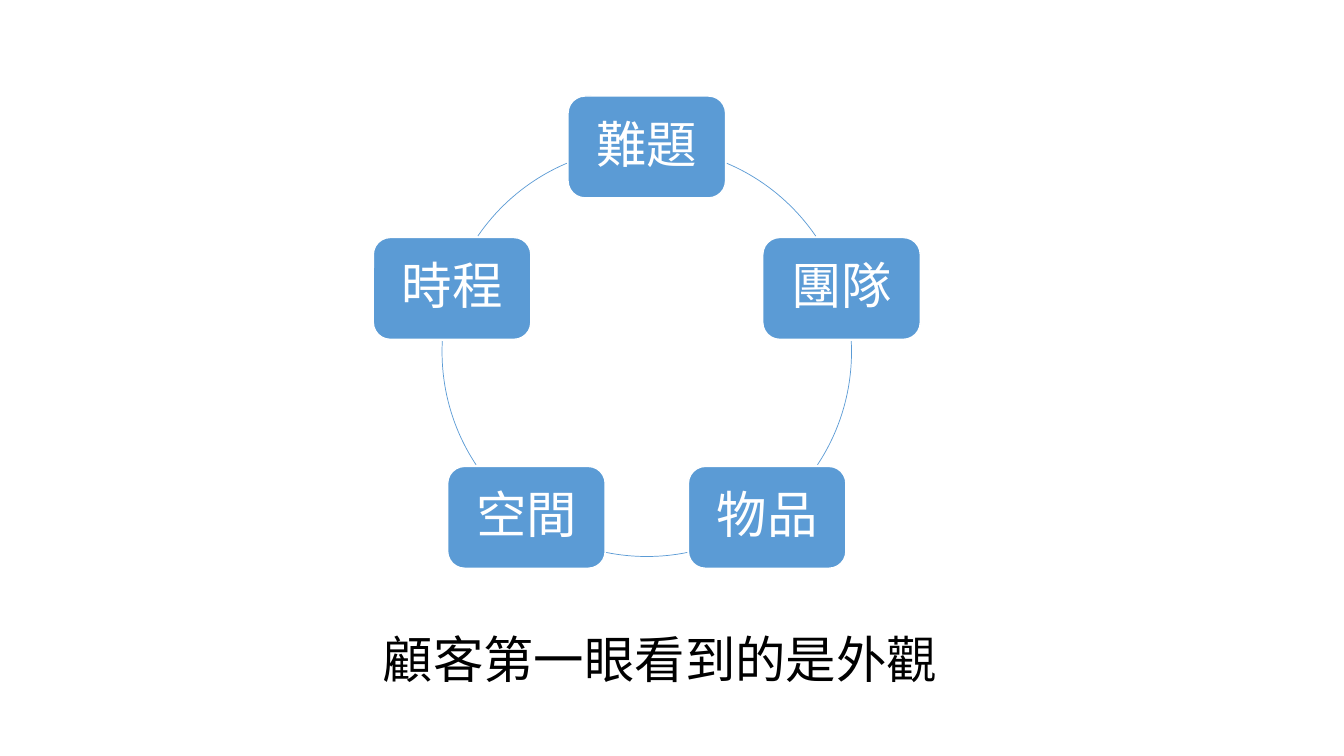
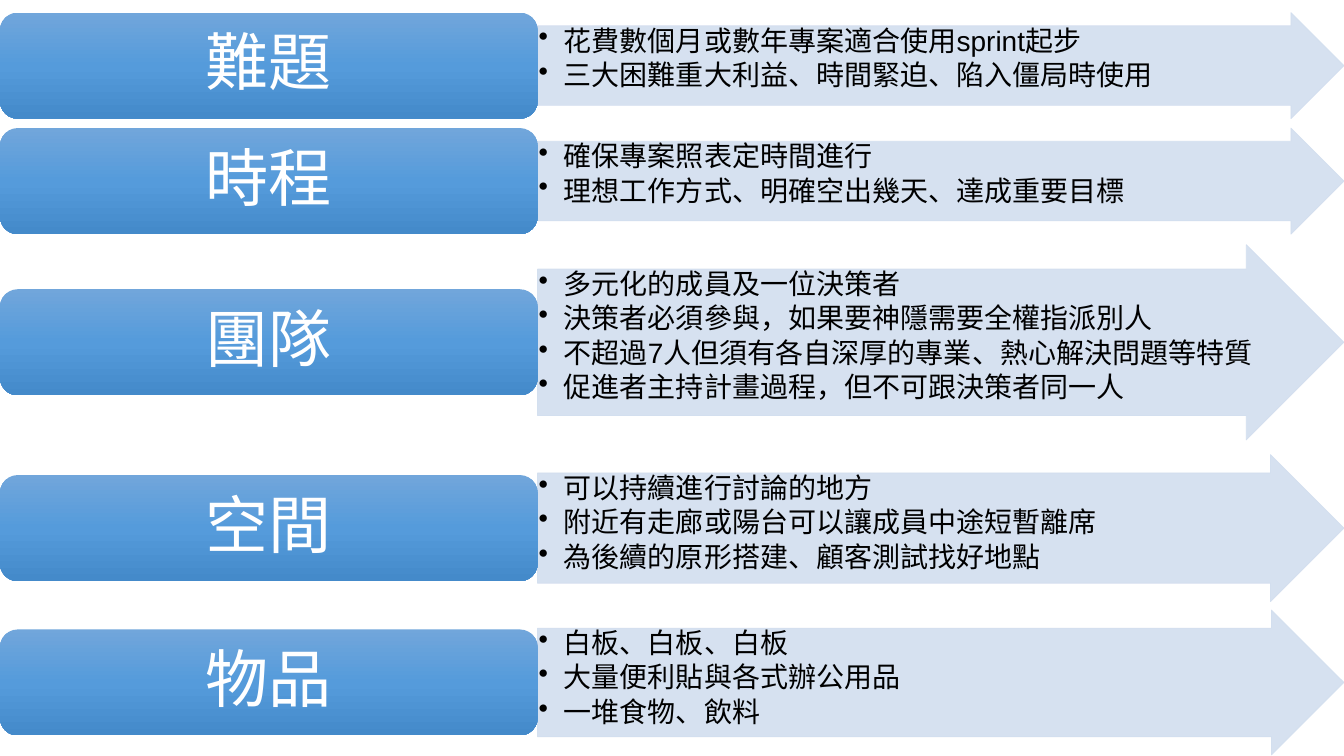
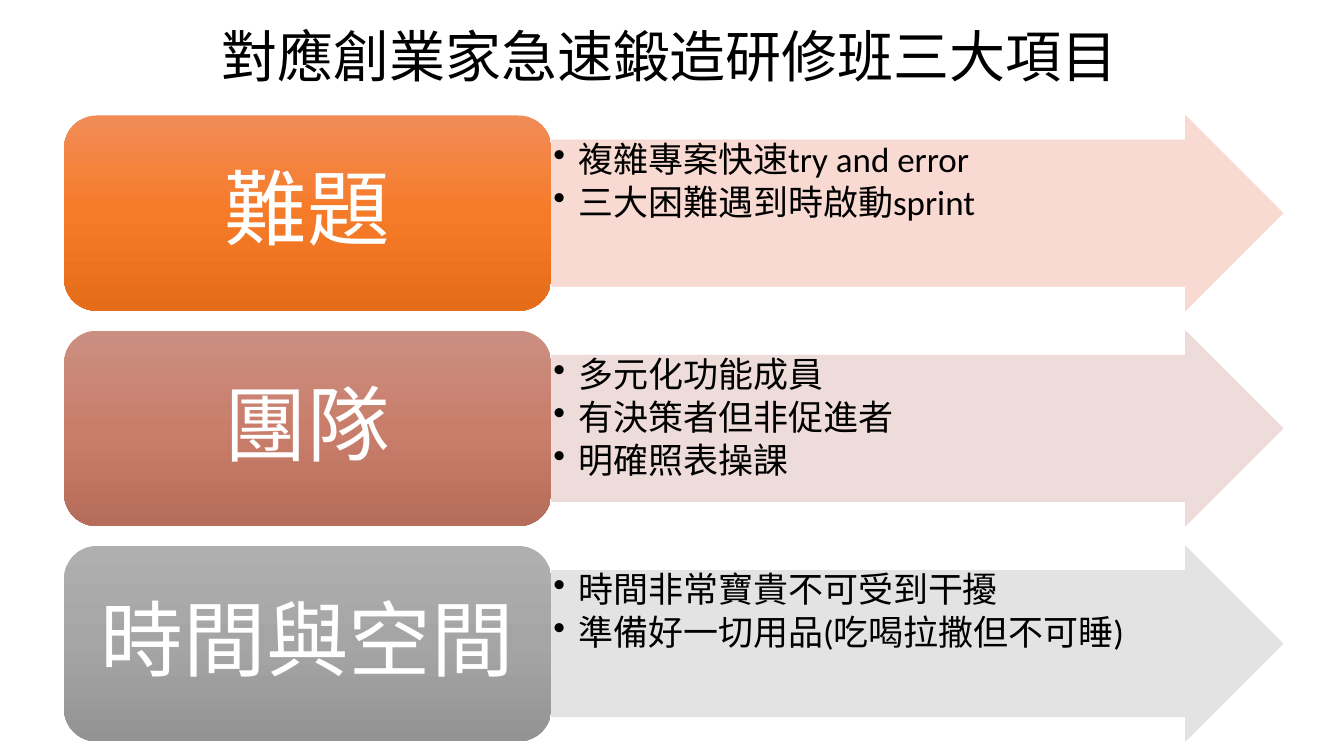
from copy import deepcopy
from dataclasses import dataclass
from math import cos, radians, sin

from lxml import etree
from pptx import Presentation, util as u
from pptx.dml.color import RGBColor
from pptx.enum import shapes, text
from pptx.oxml.ns import qn

PX = 9525  # EMU in one px, 96 px to the inch


@dataclass(frozen=True)
class Theme:
    font: str = "Calibri"
    alt_font: str = "Arial"
    ink: str = "000000"
    paper: str = "FFFFFF"
    accent: str = "5B9BD5"
    # each tone: arrow tint, then the label gradient from top to bottom
    blue: tuple = ("D2DEEF", "71A6DB", "559BDB", "448ACA")
    orange: tuple = ("F8D7CE", "F18C57", "F67B28", "E56C19")
    brick: tuple = ("EDD9D7", "CB8F81", "C97E6B", "B76D5B")
    grey: tuple = ("E1E1E1", "AFAFAF", "A5A5A5", "939393")
    title: int = 40
    node: int = 36


@dataclass(frozen=True)
class RowStyle:
    label_size: int
    body_size: int
    label_margins: tuple
    body_margin: int


THEME = Theme()
COMPACT = RowStyle(45, 20, (18, 9), 1)
LARGE = RowStyle(59, 25, (24, 12), 2)

STEPS = [
    (12, 101, "難題", THEME.alt_font,
     ["花費數個月或數年專案適合使用sprint起步",
      "三大困難重大利益、時間緊迫、陷入僵局時使用"]),
    (122, 101, "時程", THEME.font,
     ["確保專案照表定時間進行",
      "理想工作方式、明確空出幾天、達成重要目標"]),
    (233, 186, "團隊", THEME.alt_font,
     ["多元化的成員及一位決策者",
      "決策者必須參與，如果要神隱需要全權指派別人",
      "不超過7人但須有各自深厚的專業、熱心解決問題等特質",
      "促進者主持計畫過程，但不可跟決策者同一人"]),
    (433, 140, "空間", THEME.font,
     ["可以持續進行討論的地方",
      "附近有走廊或陽台可以讓成員中途短暫離席",
      "為後續的原形搭建、顧客測試找好地點"]),
    (581, 138, "物品", THEME.font,
     ["白板、白板、白板",
      "大量便利貼與各式辦公用品",
      "一堆食物、飲料"]),
]

COURSE_ITEMS = [
    ("難題", THEME.orange,
     ["複雜專案快速try and error", "三大困難遇到時啟動sprint"]),
    ("團隊", THEME.brick,
     ["多元化功能成員", "有決策者但非促進者", "明確照表操課"]),
    ("時間與空間", THEME.grey,
     ["時間非常寶貴不可受到干擾", "準備好一切用品(吃喝拉撒但不可睡)"]),
]


def rgb(code):
    return RGBColor.from_string(code)


def emu(*lengths):
    return [u.Emu(round(length * PX)) for length in lengths]


def style_run(run, size, color, font=THEME.font):
    run.font.size = u.Pt(size)
    run.font.name = font
    run.font.color.rgb = rgb(color)


def add_preset(slide, kind, box):
    shape = slide.shapes.add_shape(kind, *emu(*box))
    shape.shadow.inherit = False
    return shape


def set_margins(frame, across, down):
    frame.margin_left = frame.margin_right = u.Emu(across * PX)
    frame.margin_top = frame.margin_bottom = u.Emu(down * PX)


def write_label(shape, words, size, margins):
    frame = shape.text_frame
    frame.text = words
    frame.word_wrap = True
    frame.vertical_anchor = text.MSO_ANCHOR.MIDDLE
    set_margins(frame, *margins)
    line = frame.paragraphs[0]
    line.alignment = text.PP_ALIGN.CENTER
    line.line_spacing = 0.9
    line.space_after = u.Pt(0.35 * size)
    style_run(line.runs[0], size, THEME.paper)


def write_bullets(shape, points, size, margin, font):
    frame = shape.text_frame
    frame.word_wrap = True
    frame.vertical_anchor = text.MSO_ANCHOR.TOP
    set_margins(frame, margin, margin)
    for index, words in enumerate(points):
        point = frame.paragraphs[0] if index == 0 else frame.add_paragraph()
        point.text = words
        point.level = 1
        point.alignment = text.PP_ALIGN.LEFT
        point.line_spacing = 0.9
        point.space_after = u.Pt(0.15 * size)
        props = point._p.get_or_add_pPr()
        props.set("marL", str(24 * PX))
        props.set("indent", str(-24 * PX))
        etree.SubElement(props, qn("a:buChar")).set("char", "•")
        style_run(point.runs[0], size, THEME.ink, font)


def fill_gradient(shape, colors):
    shape.fill.gradient()
    shape.fill.gradient_angle = 270
    stop_list = shape._element.spPr.find(".//" + qn("a:gsLst"))
    stop_list.insert(1, deepcopy(stop_list[0]))
    for stop, color, position in zip(shape.fill.gradient_stops, colors, (0, 0.5, 1)):
        stop.color.rgb = rgb(color)
        stop.position = position


def tint_arrow(arrow, color):
    """Fill and outline the arrow in one colour at 90 % opacity."""
    arrow.fill.solid()
    arrow.fill.fore_color.rgb = rgb(color)
    arrow.line.color.rgb = rgb(color)
    arrow.line.width = u.Pt(0.5)
    for tint in arrow._element.spPr.iter(qn("a:srgbClr")):
        etree.SubElement(tint, qn("a:alpha")).set("val", "90000")


def add_heading(slide, words, box, size, wrap):
    heading = slide.shapes.add_textbox(*emu(*box))
    frame = heading.text_frame
    frame.text = words
    frame.word_wrap = wrap
    frame.auto_size = text.MSO_AUTO_SIZE.SHAPE_TO_FIT_TEXT
    style_run(frame.paragraphs[0].runs[0], size, THEME.ink)


def add_cycle(slide, names, center, radius, node_size):
    """Place the names evenly on a ring, clockwise from the top."""
    cx, cy = center
    width, height = node_size
    ring = (cx - radius, cy - radius, 2 * radius, 2 * radius)
    # degrees clockwise from the top; the left half mirrors the right
    right = [(23, 55.6), (87, 123.5)]
    left = [(360 - end, 360 - start) for start, end in right]
    for span in [*right, (168.6, 191.4), *left]:
        arc = add_preset(slide, shapes.MSO_SHAPE.ARC, ring)
        for index, angle in enumerate(span):
            arc.adjustments[index] = (angle - 90) % 360 * 0.6
        arc.fill.background()
        arc.line.color.rgb = rgb(THEME.accent)
        arc.line.width = u.Pt(0.5)
    for index, name in enumerate(names):
        turn = radians(360 / len(names) * index)
        box = (cx + radius * sin(turn) - width / 2,
               cy - radius * cos(turn) - height / 2, width, height)
        node = add_preset(slide, shapes.MSO_SHAPE.ROUNDED_RECTANGLE, box)
        node.fill.solid()
        node.fill.fore_color.rgb = rgb(THEME.accent)
        node.line.color.rgb = rgb(THEME.paper)
        node.line.width = u.Pt(1)
        write_label(node, name, THEME.node, (14, 14))


def add_arrow_row(slide, box, label, points, tone, style, label_height, font=THEME.font):
    """Put a label on the left 40 % of the box and an arrow of points on the rest."""
    x, y, width, height = box
    label_width = round(0.4 * width)
    tint, *gradient = tone
    arrow = add_preset(slide, shapes.MSO_SHAPE.RIGHT_ARROW,
                       (x + label_width, y, width - label_width, height))
    arrow.adjustments[0] = 0.75
    arrow.adjustments[1] = 0.5
    tint_arrow(arrow, tint)
    write_bullets(arrow, points, style.body_size, style.body_margin, font)
    tab = add_preset(slide, shapes.MSO_SHAPE.ROUNDED_RECTANGLE,
                     (x, y + (height - label_height) / 2, label_width, label_height))
    fill_gradient(tab, gradient)
    tab.line.fill.background()
    write_label(tab, label, style.label_size, style.label_margins)


def build_cycle_slide(slide):
    add_cycle(slide, ["難題", "團隊", "物品", "空間", "時程"], (616, 335), 195, (150, 97))
    add_heading(slide, "顧客第一眼看到的是外觀", (355, 593, 548, 68), THEME.node, True)


def build_steps_slide(slide):
    for top, height, label, font, points in STEPS:
        add_arrow_row(slide, (0, top, 1280, height), label, points,
                      THEME.blue, COMPACT, 101, font)


def build_course_slide(slide):
    for index, (label, tone, points) in enumerate(COURSE_ITEMS):
        add_arrow_row(slide, (61, 110 + 205 * index, 1161, 186), label, points,
                      tone, LARGE, 186)
    add_heading(slide, "對應創業家急速鍛造研修班三大項目", (202, 16, 881, 74),
                THEME.title, False)


def main():
    deck = Presentation()
    deck.slide_width, deck.slide_height = emu(1280, 720)
    for build in (build_cycle_slide, build_steps_slide, build_course_slide):
        build(deck.slides.add_slide(deck.slide_layouts[6]))
    deck.save("out.pptx")


if __name__ == "__main__":
    main()
